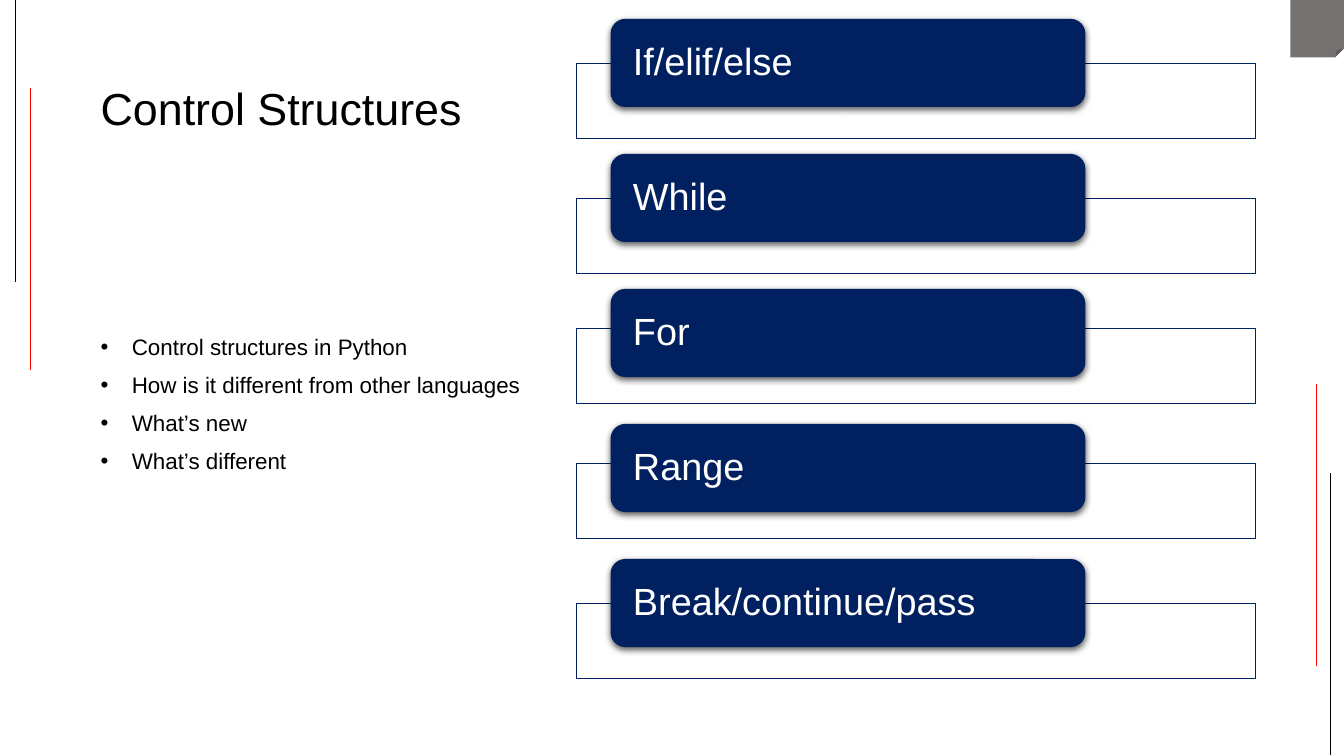
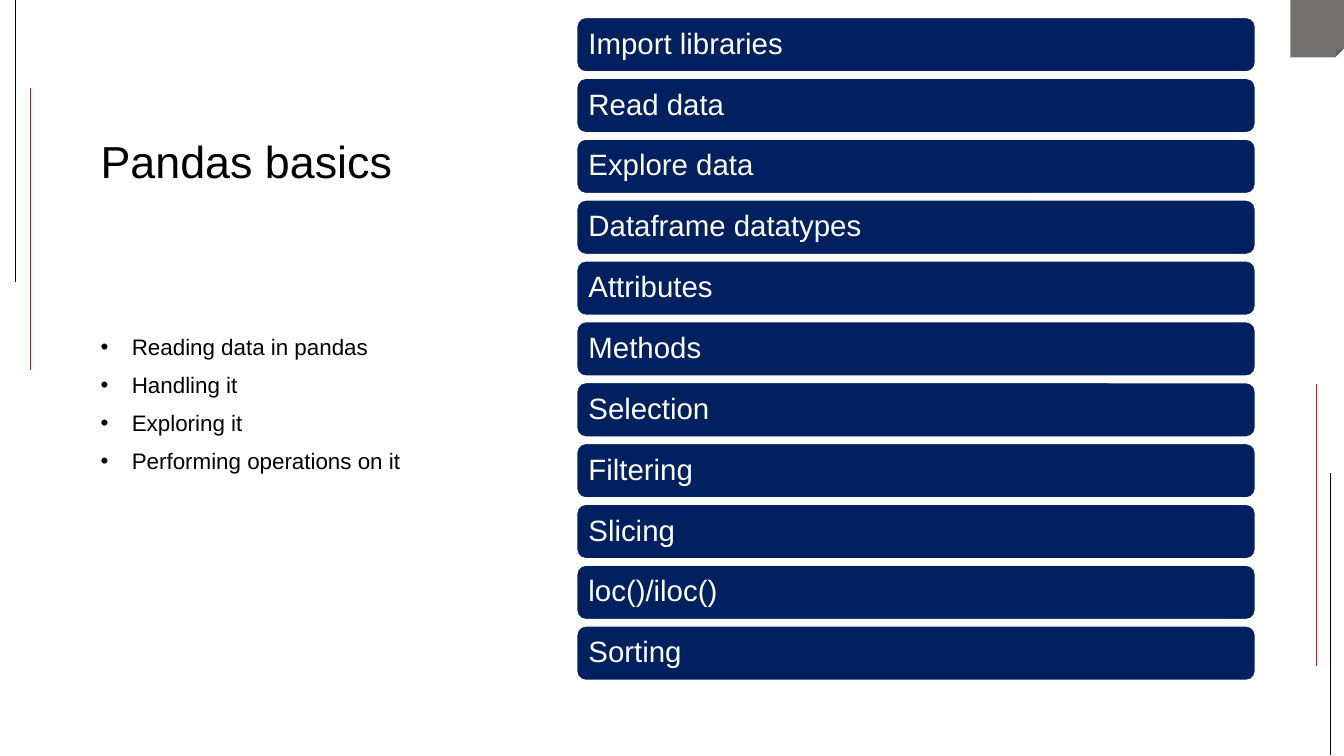
"""Build two course overview slides that share one frame and text style."""
from dataclasses import dataclass

from lxml.etree import SubElement
from pptx import Presentation
from pptx.dml.color import RGBColor
from pptx.enum.shapes import MSO_CONNECTOR as Connector, MSO_SHAPE as Preset
from pptx.enum.text import MSO_ANCHOR as Anchor, PP_ALIGN as Align
from pptx.oxml.ns import qn
from pptx.util import Inches, Pt

WIDTH, HEIGHT = Inches(13.33), Inches(7.5)
FONT = "Arial"
BLACK, WHITE, RED, NAVY, GREY = "000000", "FFFFFF", "FF0000", "002060", "767171"


@dataclass(frozen=True)
class Area:
    """A rectangle in percent of the slide's size."""
    left: float
    top: float
    width: float
    height: float

    def emu(self) -> tuple[int, int, int, int]:
        """Return left, top, width and height in slide units."""
        return (across(self.left), down(self.top), across(self.width), down(self.height))


@dataclass(frozen=True)
class Rule:
    """A vertical margin line in percent of the slide's size."""
    x: float
    start: float
    end: float
    color: str


@dataclass(frozen=True)
class Topic:
    """A tab label and how far its panel starts below the tab's top."""
    label: str
    panel_drop: float


@dataclass(frozen=True)
class Style:
    """Size, colour and side and end insets of a text frame."""
    size: float
    color: str
    side: float = 0.1
    end: float = 0.05


RULES = (
    Rule(1.18, 0, 37.33, BLACK),
    Rule(2.26, 11.65, 48.98, RED),
    Rule(98.99, 99.87, 62.53, BLACK),
    Rule(97.95, 88.13, 50.8, RED),
)
CORNER = Area(96.02, 0, 3.98, 7.6)
TEXT_LEFT, TEXT_WIDTH = 6.75, 33.76
TITLE_TOP, BULLETS_TOP, BULLETS_HEIGHT = 2, 43.75, 46.6
LIST_LEFT, LIST_WIDTH = 42.91, 50.49
TAB_LEFT, TAB_WIDTH, TAB_HEIGHT, TAB_PITCH, TAB_TOP = 45.43, 35.33, 11.65, 17.86, 2.5
PANEL_HEIGHT = 9.9
BAR_TOP, BAR_HEIGHT, BAR_PITCH = 2.31, 7.2, 8.05

TITLE = Style(32, BLACK)
BULLET = Style(16, BLACK)
TAB = Style(27, WHITE, 0.18, 0)
BAR = Style(21, WHITE, 0.09, 0.09)

CONTROL_BULLETS = ("Control structures in Python", "How is it different from other languages",
                   "What’s new", "What’s different")
CONTROL_TOPICS = (Topic("If/elif/else", 5.9), Topic("While", 5.9), Topic("For", 5.2),
                  Topic("Range", 5.2), Topic("Break/continue/pass", 5.9))
PANDAS_BULLETS = ("Reading data in pandas", "Handling it", "Exploring it",
                  "Performing operations on it")
PANDAS_STEPS = ("Import libraries", "Read data", "Explore data", "Dataframe datatypes",
                "Attributes", "Methods", "Selection", "Filtering", "Slicing", "loc()/iloc()",
                "Sorting")


def across(percent: float) -> int:
    """Convert a share of the slide's width to slide units."""
    return round(WIDTH * percent / 100)


def down(percent: float) -> int:
    """Convert a share of the slide's height to slide units."""
    return round(HEIGHT * percent / 100)


def rgb(color: str) -> RGBColor:
    """Turn a hex string into a colour."""
    return RGBColor.from_string(color)


def add_rule(page, rule: Rule) -> None:
    """Draw one margin line."""
    x = across(rule.x)
    line = page.shapes.add_connector(Connector.STRAIGHT, x, down(rule.start), x, down(rule.end))
    line.line.color.rgb = rgb(rule.color)
    line.line.width = Pt(0.5)
    SubElement(line._element.spPr, qn("a:effectLst"))


def add_block(page, preset: Preset, area: Area, fill: str = "", outline: str = "",
              weight: float = 1):
    """Draw a preset shape with an optional fill and outline."""
    block = page.shapes.add_shape(preset, *area.emu())
    block.shadow.inherit = False
    if fill:
        block.fill.solid()
        block.fill.fore_color.rgb = rgb(fill)
    else:
        block.fill.background()
    if outline:
        block.line.color.rgb = rgb(outline)
        block.line.width = Pt(weight)
    else:
        block.line.fill.background()
    return block


def add_soft_shadow(block) -> None:
    """Give a shape a soft shadow straight below it."""
    effects = block._element.spPr.find(qn("a:effectLst"))
    shadow = SubElement(effects, qn("a:outerShdw"), blurRad=str(Pt(4.5)), dist=str(Pt(1.5)),
                        dir="5400000", algn="ctr", rotWithShape="0")
    color = SubElement(shadow, qn("a:srgbClr"), val=BLACK)
    SubElement(color, qn("a:alpha"), val="63000")


def write(box, lines: tuple[str, ...], style: Style, anchor: Anchor,
          bulleted: bool = False) -> None:
    """Write one paragraph per line into a shape's text frame."""
    frame = box.text_frame
    frame.word_wrap = True
    frame.vertical_anchor = anchor
    frame.margin_left = frame.margin_right = Inches(style.side)
    frame.margin_top = frame.margin_bottom = Inches(style.end)
    for index, line in enumerate(lines):
        para = frame.add_paragraph() if index else frame.paragraphs[0]
        para.alignment = Align.LEFT
        para.line_spacing = 0.9
        if index:
            para.space_before = Pt(10)
        if bulleted:
            properties = para._p.get_or_add_pPr()
            properties.set("marL", str(Inches(0.31)))
            properties.set("indent", str(-Inches(0.31)))
            SubElement(properties, qn("a:buFont"), typeface=FONT)
            SubElement(properties, qn("a:buChar"), char="•")
        span = para.add_run()
        span.text = line
        span.font.name = FONT
        span.font.size = Pt(style.size)
        span.font.color.rgb = rgb(style.color)


def add_page(deck, title: str, title_height: float, bullets: tuple[str, ...]):
    """Add a slide with the shared frame, a title and its bullets."""
    page = deck.slides.add_slide(deck.slide_layouts[6])
    add_block(page, Preset.FOLDED_CORNER, CORNER, GREY)
    for rule in RULES:
        add_rule(page, rule)
    title_area = Area(TEXT_LEFT, TITLE_TOP, TEXT_WIDTH, title_height)
    write(page.shapes.add_textbox(*title_area.emu()), (title,), TITLE, Anchor.BOTTOM)
    bullet_area = Area(TEXT_LEFT, BULLETS_TOP, TEXT_WIDTH, BULLETS_HEIGHT)
    write(page.shapes.add_textbox(*bullet_area.emu()), bullets, BULLET, Anchor.TOP, True)
    return page


def add_tabs(page, topics: tuple[Topic, ...]) -> None:
    """Stack labelled tabs, each over an outlined panel."""
    for row, topic in enumerate(topics):
        top = TAB_TOP + row * TAB_PITCH
        panel = Area(LIST_LEFT, top + topic.panel_drop, LIST_WIDTH, PANEL_HEIGHT)
        add_block(page, Preset.RECTANGLE, panel, outline=NAVY, weight=0.5)
        tab = add_block(page, Preset.ROUNDED_RECTANGLE,
                        Area(TAB_LEFT, top, TAB_WIDTH, TAB_HEIGHT), NAVY)
        add_soft_shadow(tab)
        write(tab, (topic.label,), TAB, Anchor.MIDDLE)


def add_bars(page, steps: tuple[str, ...]) -> None:
    """Stack one labelled bar per step."""
    for row, step in enumerate(steps):
        area = Area(LIST_LEFT, BAR_TOP + row * BAR_PITCH, LIST_WIDTH, BAR_HEIGHT)
        bar = add_block(page, Preset.ROUNDED_RECTANGLE, area, NAVY, WHITE)
        write(bar, (step,), BAR, Anchor.MIDDLE)


def main() -> None:
    """Build and save the deck."""
    deck = Presentation()
    deck.slide_width, deck.slide_height = WIDTH, HEIGHT
    add_tabs(add_page(deck, "Control Structures", 16.6, CONTROL_BULLETS), CONTROL_TOPICS)
    add_bars(add_page(deck, "Pandas basics", 23.6, PANDAS_BULLETS), PANDAS_STEPS)
    deck.save("out.pptx")


if __name__ == "__main__":
    main()
